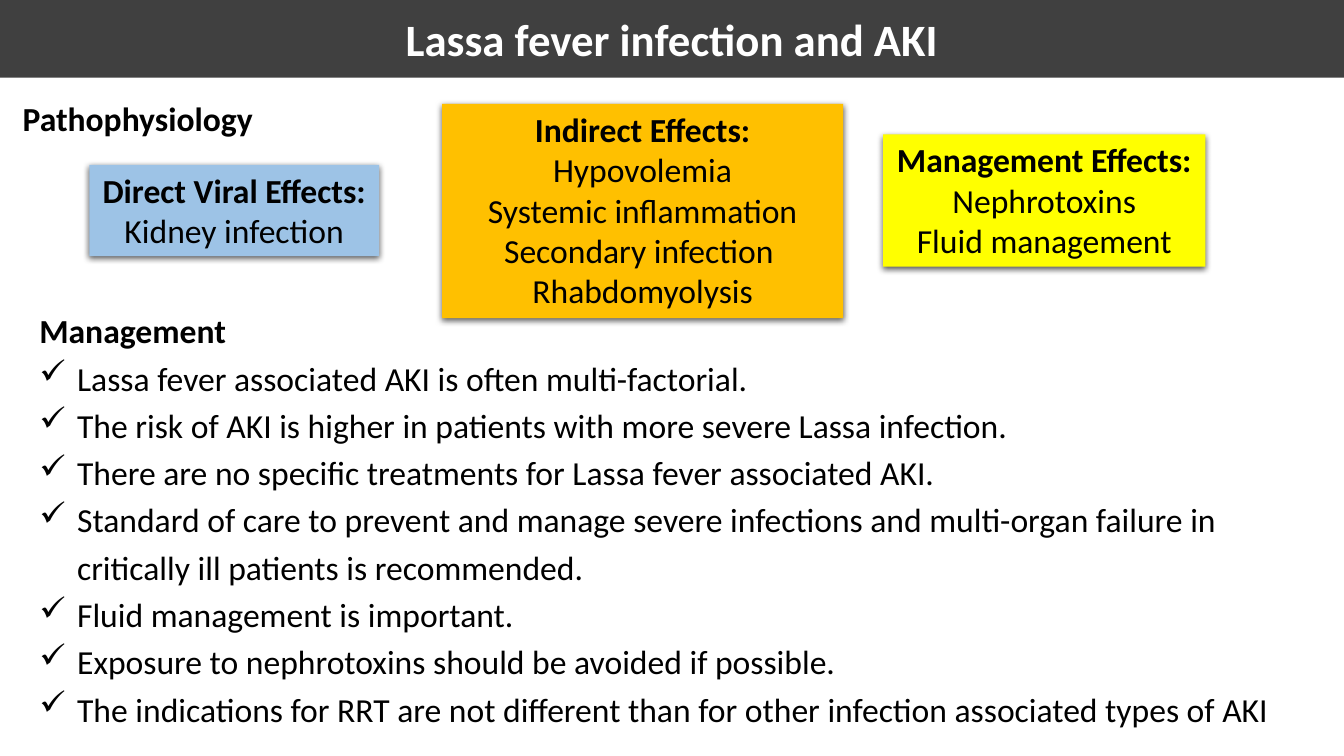
from lxml.etree import SubElement
from pptx import Presentation
from pptx.dml.color import RGBColor
from pptx.enum.shapes import MSO_SHAPE as Shape
from pptx.enum.text import MSO_ANCHOR as Anchor, PP_ALIGN as Align
from pptx.oxml.ns import qn
from pptx.util import Emu, Pt

PX = 9525
WIDTH, HEIGHT = 1280, 720
FONT = "Calibri"
COLORS = {
    "black": "000000",
    "white": "FFFFFF",
    "banner": "404040",
    "direct": "9DC3E6",
    "indirect": "FFC000",
    "management": "FFFF00",
}
EFFECTS = [
    ("indirect", (421, 99, 382, 204), [
        "Indirect Effects:", "Hypovolemia", "Systemic inflammation",
        "Secondary infection ", "Rhabdomyolysis"]),
    ("management", (841, 128, 307, 126), [
        "Management Effects:", "Nephrotoxins", "Fluid management"]),
    ("direct", (85, 157, 276, 87), [
        "Direct Viral Effects:", "Kidney infection"]),
]
MANAGEMENT = [
    "Management",
    "Lassa fever associated AKI is often multi-factorial.",
    "The risk of AKI is higher in patients with more severe Lassa infection.",
    "There are no specific treatments for Lassa fever associated AKI.",
    "Standard of care to prevent and manage severe infections and "
    "multi-organ failure in critically ill patients is recommended.",
    "Fluid management is important.",
    "Exposure to nephrotoxins should be avoided if possible.",
    "The indications for RRT are not different than for other infection "
    "associated types of AKI",
]


def px(*lengths):
    """Turn pixel lengths into EMU."""
    return [Emu(length * PX) for length in lengths]


def rgb(name):
    """Look up a named colour."""
    return RGBColor.from_string(COLORS[name])


def write_lines(frame, lines, size=24, color="black", align=Align.LEFT):
    """Write a bold heading followed by regular lines."""
    frame.word_wrap = True
    frame.text = "\n".join(lines)
    for index, para in enumerate(frame.paragraphs):
        para.alignment = align
        para.font.name = FONT
        para.font.size = Pt(size)
        para.font.bold = index == 0
        para.font.color.rgb = rgb(color)


def add_box(page, place, fill):
    """Add a plain filled rectangle."""
    box = page.shapes.add_shape(Shape.RECTANGLE, *px(*place))
    box.shadow.inherit = False
    box.fill.solid()
    box.fill.fore_color.rgb = rgb(fill)
    box.line.fill.background()
    return box


def add_shadow(box):
    """Give a box a soft shadow below it."""
    effects = box._element.spPr.find(qn("a:effectLst"))
    shadow = SubElement(effects, qn("a:outerShdw"), blurRad="57150",
                        dist="19050", dir="5400000", algn="ctr", rotWithShape="0")
    tint = SubElement(shadow, qn("a:srgbClr"), val=COLORS["black"])
    SubElement(tint, qn("a:alpha"), val="63000")


def add_banner(page, title):
    """Add the title band across the top."""
    banner = add_box(page, (0, 0, WIDTH, 74), "banner")
    frame = banner.text_frame
    frame.margin_left = frame.margin_right = 0
    frame.margin_top = frame.margin_bottom = 0
    frame.vertical_anchor = Anchor.MIDDLE
    write_lines(frame, [title], 32, "white", Align.CENTER)


def add_effect(page, fill, place, lines):
    """Add a shadowed box listing one group of effects."""
    box = add_box(page, place, fill)
    add_shadow(box)
    box.text_frame.vertical_anchor = Anchor.TOP
    write_lines(box.text_frame, lines, align=Align.CENTER)


def add_text(page, place, lines):
    """Add a text box and return its paragraphs."""
    frame = page.shapes.add_textbox(*px(*place)).text_frame
    write_lines(frame, lines)
    return frame.paragraphs


def add_check(para):
    """Put a hanging check mark before a paragraph."""
    props = para._p.get_or_add_pPr()
    props.set("marL", str(36 * PX))
    props.set("indent", str(-36 * PX))
    bullet = SubElement(props, qn("a:buChar"), char="✓")
    props.find(qn("a:defRPr")).addprevious(bullet)


def add_checklist(page, place, lines):
    """Add a heading with check-marked points below it."""
    paras = add_text(page, place, lines)
    for para in paras:
        para.line_spacing = Pt(33.8)
    for para in paras[1:]:
        add_check(para)


def main():
    """Build the slide and save it."""
    deck = Presentation()
    deck.slide_width, deck.slide_height = px(WIDTH, HEIGHT)
    page = deck.slides.add_slide(deck.slide_layouts[6])
    for effect in EFFECTS:
        add_effect(page, *effect)
    add_checklist(page, (28, 284, 1234, 419), MANAGEMENT)
    add_banner(page, "Lassa fever infection and AKI")
    add_text(page, (12, 89, 276, 48), ["Pathophysiology"])
    deck.save("out.pptx")


if __name__ == "__main__":
    main()
